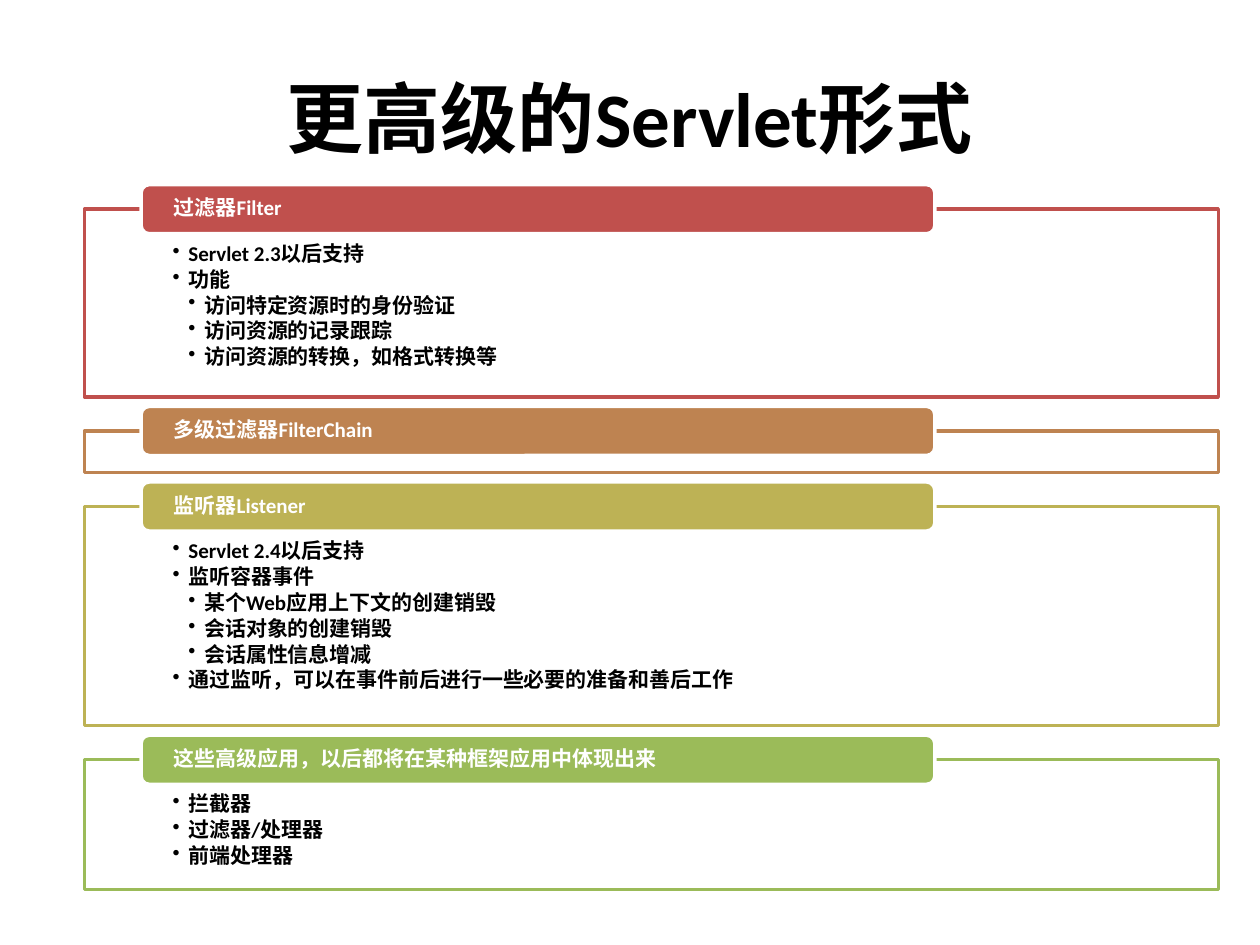
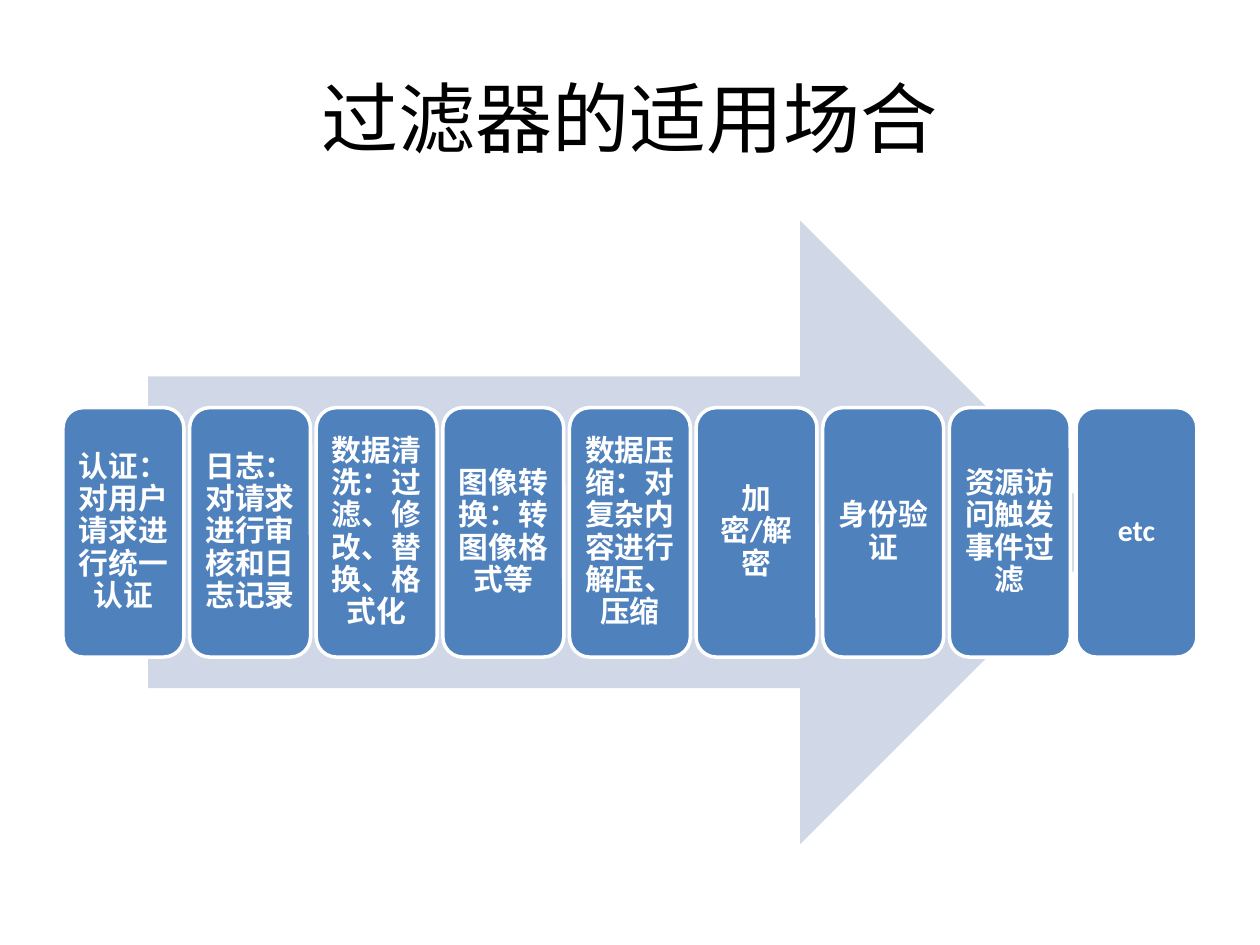
import pptx
import pptx.dml.color
import pptx.enum.lang
import pptx.enum.shapes
import pptx.enum.text
import pptx.util
import lxml.etree
from pptx.oxml.ns import qn

COLORS = {
    "white": "FFFFFF", "black": "000000", "red": "C0504D", "orange": "BE8351",
    "olive": "BDB255", "green": "9BBB59", "blue": "4F81BD", "pale": "D0D8E8",
}
FONT = "Calibri"
WIDTH, HEIGHT = 10, 7.5
MARGIN = 0.05 * WIDTH

SECTIONS_TITLE = "更高级的Servlet形式"
SECTIONS = [
    ("过滤器Filter", "red", 1.49, [
        (1, "Servlet 2.3以后支持"),
        (1, "功能"),
        (2, "访问特定资源时的身份验证"),
        (2, "访问资源的记录跟踪"),
        (2, "访问资源的转换，如格式转换等"),
    ]),
    ("多级过滤器FilterChain", "orange", 0.33, []),
    ("监听器Listener", "olive", 1.74, [
        (1, "Servlet 2.4以后支持"),
        (1, "监听容器事件"),
        (2, "某个Web应用上下文的创建销毁"),
        (2, "会话对象的创建销毁"),
        (2, "会话属性信息增减"),
        (1, "通过监听，可以在事件前后进行一些必要的准备和善后工作"),
    ]),
    ("这些高级应用，以后都将在某种框架应用中体现出来", "green", 1.03, [
        (1, "拦截器"),
        (1, "过滤器/处理器"),
        (1, "前端处理器"),
    ]),
]

USES_TITLE = "过滤器的适用场合"
USES = [
    "认证：对用户请求进行统一认证",
    "日志：对请求进行审核和日志记录",
    "数据清洗：过滤、修改、替换、格式化",
    "图像转换：转图像格式等",
    "数据压缩：对复杂内容进行解压、压缩",
    "加密/解密",
    "身份验证",
    "资源访问触发事件过滤",
    "etc",
]

SHAPE = pptx.enum.shapes.MSO_SHAPE
ALIGN = pptx.enum.text.PP_ALIGN
ANCHOR = pptx.enum.text.MSO_ANCHOR
inches = pptx.util.Inches


def rgb(name):
    return pptx.dml.color.RGBColor.from_string(COLORS[name])


def add_page(deck, title, bold=False):
    page = deck.slides.add_slide(deck.slide_layouts[5])
    box = page.shapes.title
    box.left, box.top = inches(MARGIN), inches(0.04 * HEIGHT)
    box.width, box.height = inches(WIDTH - 2 * MARGIN), inches(HEIGHT / 6)
    box.text_frame.vertical_anchor = ANCHOR.MIDDLE
    para = box.text_frame.paragraphs[0]
    para.alignment = ALIGN.CENTER
    add_span(para, title, 44, "black", bold)
    return page


def add_shape(group, kind, left, top, width, height, fill, line=None):
    shape = group.shapes.add_shape(
        kind, inches(left), inches(top), inches(width), inches(height))
    shape.shadow.inherit = False
    shape.fill.solid()
    shape.fill.fore_color.rgb = rgb(fill)
    if line:
        shape.line.color.rgb = rgb(line)
        shape.line.width = pptx.util.Pt(2)
    else:
        shape.line.fill.background()
    return shape


def set_frame(shape, anchor, insets):
    frame = shape.text_frame
    frame.word_wrap = True
    frame.vertical_anchor = anchor
    (frame.margin_left, frame.margin_top,
     frame.margin_right, frame.margin_bottom) = map(inches, insets)
    return frame


def add_span(para, text, size, color, bold=True):
    span = para.add_run()
    span.text = text
    span.font.name = FONT
    span.font.size = pptx.util.Pt(size)
    span.font.bold = bold
    span.font.color.rgb = rgb(color)
    span.font.language_id = pptx.enum.lang.MSO_LANGUAGE_ID.SIMPLIFIED_CHINESE


def write_label(shape, text, size, align, insets):
    para = set_frame(shape, ANCHOR.MIDDLE, insets).paragraphs[0]
    para.alignment = align
    para.line_spacing = 0.9
    add_span(para, text, size, "white")


def write_bullets(shape, items):
    frame = set_frame(shape, ANCHOR.TOP, (0.7, 0.27, 0.7, 0.09))
    for index, (level, text) in enumerate(items):
        para = frame.add_paragraph() if index else frame.paragraphs[0]
        para.level = level
        para.alignment = ALIGN.LEFT
        para.line_spacing = 0.9
        para.space_after = pptx.util.Pt(1.8)
        properties = para._p.get_or_add_pPr()
        properties.set("marL", str(inches(0.125 * level)))
        properties.set("indent", str(-inches(0.125)))
        lxml.etree.SubElement(properties, qn("a:buChar")).set("char", "•")
        add_span(para, text, 12, "black")


def build_sections(deck):
    group = add_page(deck, SECTIONS_TITLE, bold=True).shapes.add_group_shape()
    left, top, width, gap = 0.67, 1.66, 0.9 * WIDTH, 0.27
    tab_height = 0.39
    for heading, color, height, items in SECTIONS:
        panel = add_shape(group, SHAPE.RECTANGLE, left, top, width, height,
                          "white", color)
        if items:
            write_bullets(panel, items)
        tab = add_shape(group, SHAPE.ROUNDED_RECTANGLE, left + 0.05 * width,
                        top - tab_height / 2, 0.7 * width, tab_height,
                        color, "white")
        write_label(tab, heading, 12, ALIGN.LEFT, (0.24, 0, 0.24, 0))
        top += height + gap


def build_uses(deck):
    group = add_page(deck, USES_TITLE).shapes.add_group_shape()
    area = WIDTH - 2 * MARGIN
    top, height = 1.75, 4.95
    arrow_width = 0.85 * area
    add_shape(group, SHAPE.RIGHT_ARROW, (WIDTH - arrow_width) / 2, top,
              arrow_width, height, "pale")
    card_width, card_height = 0.96, 0.4 * height
    step = (area - card_width) / (len(USES) - 1)
    for column, use in enumerate(USES):
        card = add_shape(group, SHAPE.ROUNDED_RECTANGLE,
                         MARGIN + column * step, top + 0.3 * height,
                         card_width, card_height, "blue", "white")
        write_label(card, use, 17, ALIGN.CENTER, (0.07,) * 4)


deck = pptx.Presentation()
deck.slide_width, deck.slide_height = inches(WIDTH), inches(HEIGHT)
build_sections(deck)
build_uses(deck)
deck.save("out.pptx")
